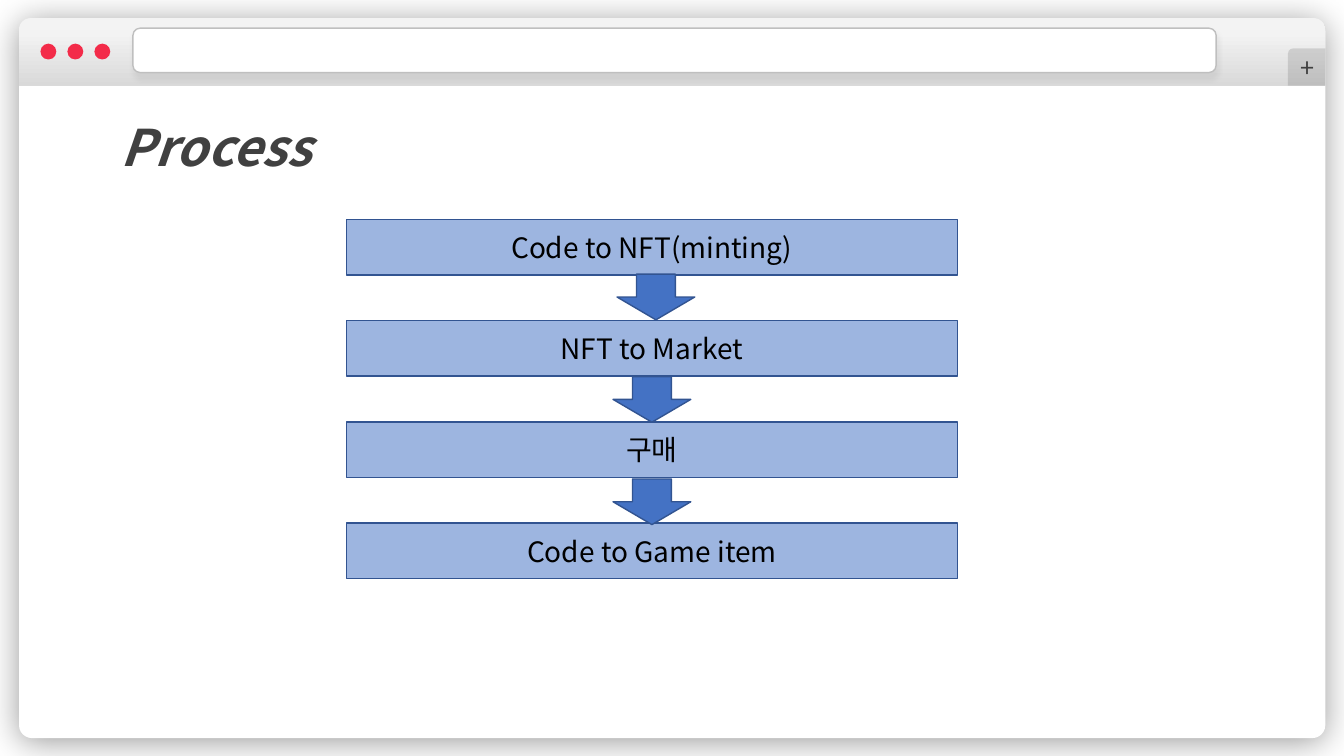
"""Build the Process slide: a browser window framing a four-step flow."""
import dataclasses

import pptx
import pptx.util
from lxml import etree
from pptx.dml.color import RGBColor
from pptx.enum.shapes import MSO_SHAPE
from pptx.enum.text import MSO_ANCHOR, MSO_AUTO_SIZE, PP_ALIGN
from pptx.oxml.ns import qn
from pptx.util import Cm


@dataclasses.dataclass(frozen=True)
class Theme:
    font: str = "Noto Sans CJK KR"
    white: str = "FFFFFF"
    black: str = "000000"
    ink: str = "404040"
    light: str = "F3F3F3"
    gray: str = "D9D9D9"
    rim: str = "BFBFBF"
    red: str = "F32B49"
    blue: str = "4472C4"
    edge: str = "325491"
    head: int = 36
    body: int = 20
    sign: int = 18


theme = Theme()


def put(kind, left, top, width, height, fill, line=None, alpha=None, blur=None, shade=None, bend=None):
    """Add a shape in centimetres, with optional outline, opacity and shadow."""
    shape = slide.shapes.add_shape(kind, Cm(left), Cm(top), Cm(width), Cm(height))
    shape.shadow.inherit = False
    shape.fill.solid()
    shape.fill.fore_color.rgb = RGBColor.from_string(fill)
    props = shape.element.spPr
    if alpha:
        tint = props.find(qn("a:solidFill")).find(qn("a:srgbClr"))
        etree.SubElement(tint, qn("a:alpha"), val=str(alpha * 1000))
    if line:
        shape.line.color.rgb = RGBColor.from_string(line)
        shape.line.width = pptx.util.Pt(1)
    else:
        shape.line.fill.background()
    if blur:
        glow = etree.SubElement(
            props.find(qn("a:effectLst")), qn("a:outerShdw"),
            blurRad=str(pptx.util.Pt(blur)), dist=str(pptx.util.Pt(3)),
            dir="5400000", algn="ctr", rotWithShape="0")
        tint = etree.SubElement(glow, qn("a:srgbClr"), val=theme.black)
        etree.SubElement(tint, qn("a:alpha"), val=str(shade * 1000))
    if bend:
        shape.adjustments[0] = bend
    return shape


def write(shape, text, size, color, align=PP_ALIGN.CENTER, anchor=MSO_ANCHOR.MIDDLE, bold=False, slant=False):
    """Set one formatted line of text in a shape."""
    frame = shape.text_frame
    frame.word_wrap = True
    frame.vertical_anchor = anchor
    para = frame.paragraphs[0]
    para.alignment = align
    run = para.add_run()
    run.text = text
    font = run.font
    font.name = theme.font
    font.size = pptx.util.Pt(size)
    font.color.rgb = RGBColor.from_string(color)
    font.bold = bold
    font.italic = slant
    etree.SubElement(run.font._element, qn("a:ea"), typeface=theme.font)


deck = pptx.Presentation()
deck.slide_width = Cm(33.87)
deck.slide_height = Cm(19.05)
slide = deck.slides.add_slide(deck.slide_layouts[6])

put(MSO_SHAPE.ROUNDED_RECTANGLE, 0.48, 0.46, 32.92, 18.14, theme.white, blur=25, shade=40, bend=0.018)

strip = put(MSO_SHAPE.ROUND_2_SAME_RECTANGLE, 0.48, 0.46, 32.92, 1.7, theme.gray)
strip.fill.gradient()
strip.fill.gradient_angle = 270
for stop, color, place in zip(strip.fill.gradient_stops, (theme.light, theme.gray), (0.21, 1)):
    stop.color.rgb = RGBColor.from_string(color)
    stop.position = place

put(MSO_SHAPE.ROUNDED_RECTANGLE, 3.35, 0.71, 27.3, 1.12, theme.white, line=theme.rim, blur=4, shade=5)

tab = put(MSO_SHAPE.ROUND_1_RECTANGLE, 32.46, 1.22, 0.94, 0.94, theme.black, alpha=12, bend=0.138)
tab.element.spPr.find(qn("a:xfrm")).set("flipH", "1")
write(tab, "+", theme.sign, theme.ink)

for i in range(3):
    put(MSO_SHAPE.OVAL, 1.02 + 0.68 * i, 1.1, 0.4, 0.4, theme.red)

title = slide.shapes.add_textbox(Cm(2.8), Cm(2.8), Cm(19.8), Cm(1.8))
title.text_frame.auto_size = MSO_AUTO_SIZE.SHAPE_TO_FIT_TEXT
write(title, "Process", theme.head, theme.ink, align=PP_ALIGN.LEFT, anchor=MSO_ANCHOR.TOP, bold=True, slant=True)

steps = ["Code to NFT(minting)", "NFT to Market", "구매", "Code to Game item"]
for i, step in enumerate(steps):
    box = put(MSO_SHAPE.RECTANGLE, 8.73, 5.53 + 2.55 * i, 15.4, 1.4, theme.blue, line=theme.edge, alpha=52)
    write(box, step, theme.body, theme.black)
    if i:
        left = 15.55 if i == 1 else 15.45
        put(MSO_SHAPE.DOWN_ARROW, left, 4.33 + 2.58 * i, 1.96, 1.15, theme.blue, line=theme.edge)

deck.save("out.pptx")
